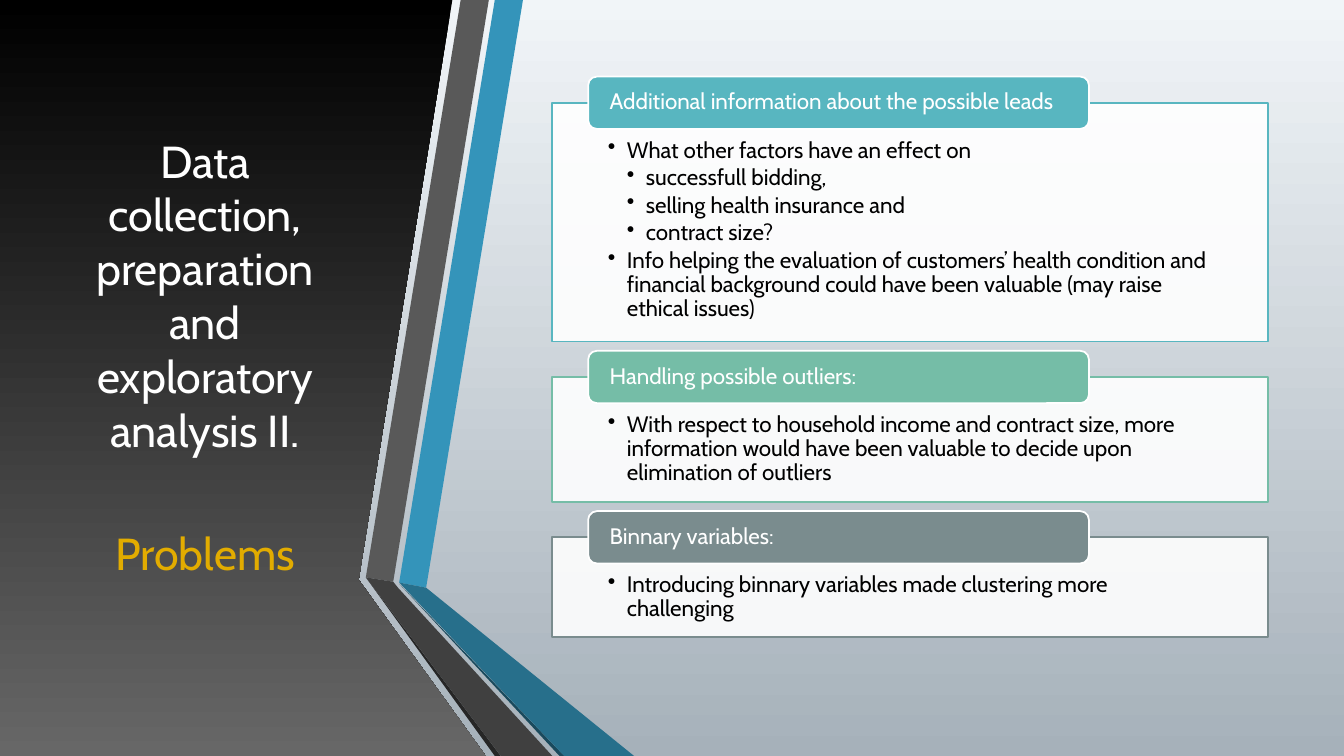
import lxml.etree
import pptx
import pptx.dml.color
import pptx.enum.shapes
import pptx.enum.text
import pptx.oxml.ns
import pptx.util

Cm = pptx.util.Cm
Pt = pptx.util.Pt
RGBColor = pptx.dml.color.RGBColor
SHAPE = pptx.enum.shapes.MSO_SHAPE
ALIGN = pptx.enum.text.PP_ALIGN
ANCHOR = pptx.enum.text.MSO_ANCHOR
qn = pptx.oxml.ns.qn

WHITE = RGBColor(0xFF, 0xFF, 0xFF)
BLACK = RGBColor(0x00, 0x00, 0x00)
GOLD = RGBColor(0xE2, 0xAC, 0x00)
PANEL_GRAY = RGBColor(0x67, 0x67, 0x67)
PAGE_TOP = RGBColor(0xF1, 0xF5, 0xF8)
PAGE_BOTTOM = RGBColor(0xA6, 0xB1, 0xBA)
BLUE = RGBColor(0x34, 0x94, 0xBA)
BLUE_FOLD = RGBColor(0x27, 0x6F, 0x8B)
BLUE_EDGE = RGBColor(0x1A, 0x4A, 0x5D)
GRAY = RGBColor(0x59, 0x59, 0x59)
GRAY_FOLD = RGBColor(0x40, 0x40, 0x40)
GRAY_EDGE = RGBColor(0x26, 0x26, 0x26)
TEAL = RGBColor(0x58, 0xB6, 0xC0)
GREEN = RGBColor(0x75, 0xBD, 0xA7)
SLATE = RGBColor(0x7A, 0x8C, 0x8E)

FONT = "Cabin"
PAGE_WIDTH, PAGE_HEIGHT = 33.87, 19.05
CARD_GAP = 0.89
HEADER_HEIGHT = 1.32
BULLET_INDENT = 0.48

RIBBONS = [
    (BLUE, [(0.84, 14.68), (1.52, 14.81), (3.96, 0), (3.25, 0)]),
    (GRAY, [(3.1, 0), (2.39, 0), (0, 14.55), (0.69, 14.66)]),
    (GRAY_EDGE, [(0, 14.55), (3.25, 19.05), (3.4, 19.05)]),
    (BLUE_EDGE, [(0.84, 14.71), (4.88, 19.05), (5, 19.05)]),
    (BLUE_FOLD, [(0.84, 14.68), (5, 19.05), (6.76, 19.05), (1.52, 14.81)]),
    (GRAY_FOLD, [(4.7, 19.05), (0.81, 14.81), (0.69, 14.66), (0, 14.55), (3.4, 19.05)]),
]
PANEL = [(0, 0), (8.97, 0), (11.4, 0), (9.04, 14.61), (12.24, 19.05), (0, 19.05)]

CARDS = [
    (TEAL, 6.02, "Additional information about the possible leads", [
        (0, "What other factors have an effect on"),
        (1, "successfull bidding,"),
        (1, "selling health insurance and"),
        (1, "contract size?"),
        (0, "Info helping the evaluation of customers’ health condition and financial "
            "background could have been valuable (may raise ethical issues)"),
    ]),
    (GREEN, 3.15, "Handling possible outliers:", [
        (0, "With respect to household income and contract size, more information "
            "would have been valuable to decide upon elimination of outliers"),
    ]),
    (SLATE, 2.51, "Binnary variables:", [
        (0, "Introducing binnary variables made clustering more challenging"),
    ]),
]


def fill_gradient(fill, top_color, bottom_color):
    fill.gradient()
    fill.gradient_angle = 270
    for stop, position, color in zip(fill.gradient_stops, (0, 1), (top_color, bottom_color)):
        stop.position = position
        stop.color.rgb = color


def add_outline(page, left, points):
    corners = [(Cm(left + x), Cm(y)) for x, y in points]
    builder = page.shapes.build_freeform(*corners[0])
    builder.add_line_segments(corners[1:], close=True)
    outline = builder.convert_to_shape()
    outline.shadow.inherit = False
    outline.line.fill.background()
    return outline


def add_box(page, kind, left, top, width, height, fill_color, line_color):
    box = page.shapes.add_shape(kind, Cm(left), Cm(top), Cm(width), Cm(height))
    box.shadow.inherit = False
    box.fill.solid()
    box.fill.fore_color.rgb = fill_color
    box.line.color.rgb = line_color
    box.line.width = Pt(1.25)
    box.text_frame.word_wrap = True
    return box


def set_margins(frame, side, top, bottom):
    frame.margin_left = frame.margin_right = Cm(side)
    frame.margin_top, frame.margin_bottom = Cm(top), Cm(bottom)


def write(para, text, size, color, align):
    para.text = text
    para.alignment = align
    for span in para.runs:
        span.font.name = FONT
        span.font.size = Pt(size)
        span.font.color.rgb = color


def add_bullet(para, level):
    para.level = level
    properties = para._p.get_or_add_pPr()
    properties.set("marL", str(Cm(BULLET_INDENT * (level + 1))))
    properties.set("indent", str(-Cm(BULLET_INDENT)))
    lxml.etree.SubElement(properties, qn("a:buChar")).set("char", "•")


def add_title(page, left, top, width, height):
    box = page.shapes.add_textbox(Cm(left), Cm(top), Cm(width), Cm(height))
    frame = box.text_frame
    frame.word_wrap = True
    frame.vertical_anchor = ANCHOR.MIDDLE
    heading = frame.paragraphs[0]
    write(heading, "Data collection, preparation and exploratory analysis II.",
          32, WHITE, ALIGN.CENTER)
    heading.space_after = Pt(6)
    topic = frame.add_paragraph()
    write(topic, "Problems", 32, GOLD, ALIGN.CENTER)
    topic.space_before = Pt(44)
    topic.space_after = Pt(6)


def add_ribbons(page, left):
    for color, points in RIBBONS:
        ribbon = add_outline(page, left, points)
        ribbon.fill.solid()
        ribbon.fill.fore_color.rgb = color


def add_card(page, left, top, width, height, color, header_text, bullets):
    body = add_box(page, SHAPE.RECTANGLE, left, top, width, height, WHITE, color)
    white = body.fill._xPr.find(qn("a:solidFill"))[0]
    lxml.etree.SubElement(white, qn("a:alpha")).set("val", "90000")
    frame = body.text_frame
    frame.vertical_anchor = ANCHOR.TOP
    set_margins(frame, 1.4, 0.91, 0.3)
    for number, (level, text) in enumerate(bullets):
        para = frame.add_paragraph() if number else frame.paragraphs[0]
        write(para, text, 16, BLACK, ALIGN.LEFT)
        para.line_spacing = 0.9
        para.space_after = Pt(2.4)
        add_bullet(para, level)

    header = add_box(page, SHAPE.ROUNDED_RECTANGLE, left + width * 0.05,
                     top - HEADER_HEIGHT / 2, width * 0.7, HEADER_HEIGHT, color, WHITE)
    header.text_frame.vertical_anchor = ANCHOR.MIDDLE
    set_margins(header.text_frame, 0.48, 0, 0)
    para = header.text_frame.paragraphs[0]
    write(para, header_text, 16, WHITE, ALIGN.LEFT)
    para.line_spacing = 0.9


def add_cards(page, left, top, width):
    for color, height, header_text, bullets in CARDS:
        add_card(page, left, top, width, height, color, header_text, bullets)
        top += height + CARD_GAP


def main():
    deck = pptx.Presentation()
    deck.slide_width, deck.slide_height = Cm(PAGE_WIDTH), Cm(PAGE_HEIGHT)
    page = deck.slides.add_slide(deck.slide_layouts[6])
    fill_gradient(page.background.fill, PAGE_TOP, PAGE_BOTTOM)
    fill_gradient(add_outline(page, 0, PANEL).fill, BLACK, PANEL_GRAY)
    add_title(page, 1.5, 1.9, 7.34, 14.17)
    add_ribbons(page, 9.22)
    add_cards(page, 13.92, 2.59, 18.03)
    deck.save("out.pptx")


if __name__ == "__main__":
    main()
